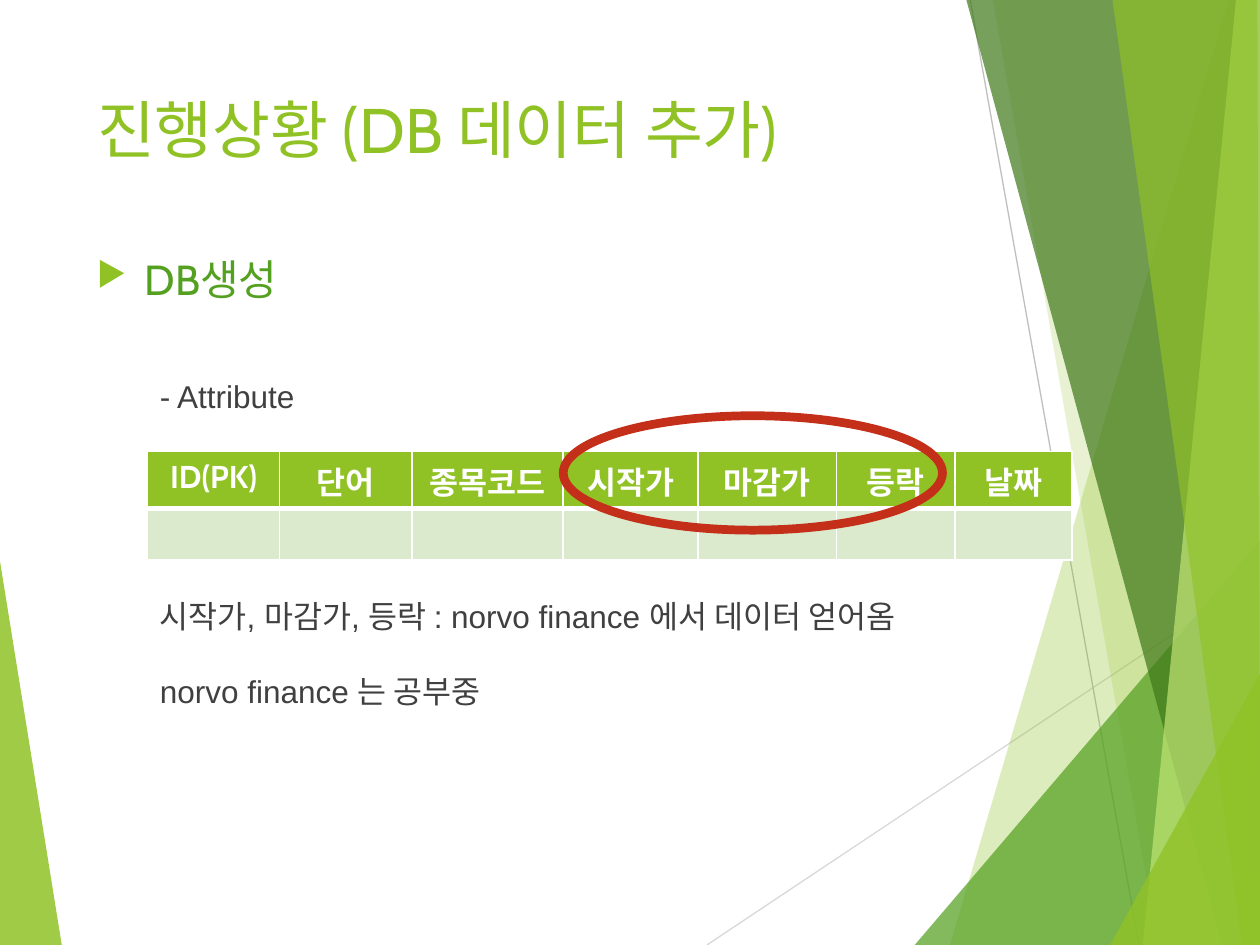
from lxml.etree import SubElement
from pptx import Presentation
from pptx.dml.color import RGBColor
from pptx.enum.shapes import MSO_CONNECTOR, MSO_SHAPE
from pptx.enum.text import MSO_ANCHOR as Anchor, PP_ALIGN as Align
from pptx.oxml.ns import qn
from pptx.util import Inches, Pt

WIDTH, HEIGHT = Inches(10), Inches(7.5)
LIME = RGBColor(0x90, 0xC2, 0x26)
GREEN = RGBColor(0x54, 0xA0, 0x21)
FOREST = RGBColor(0x3F, 0x78, 0x19)
PALE_LIME = RGBColor(0xC0, 0xE4, 0x74)
MINT = RGBColor(0xDB, 0xE9, 0xCD)
WHITE = RGBColor(0xFF, 0xFF, 0xFF)
RED = RGBColor(0xC4, 0x2F, 0x1A)
TEXT_GRAY = RGBColor(0x40, 0x40, 0x40)
LIGHT_GRAY = RGBColor(0xD9, 0xD9, 0xD9)
MID_GRAY = RGBColor(0xBF, 0xBF, 0xBF)

FACETS = [
    (LIME, 85, [(0, 59.4), (4.9, 100), (0, 100)]),
    (LIME, 30, [(97.5, 0), (75.4, 100), (100, 100), (100, 0)]),
    (LIME, 20, [(78.8, 0), (91.9, 100), (100, 100), (100, 0)]),
    (GREEN, 72, [(72.6, 100), (100, 57.2), (100, 100)]),
    (FOREST, 70, [(76.7, 0), (97, 100), (100, 100), (100, 0)]),
    (PALE_LIME, 70, [(98.1, 0), (90.7, 100), (100, 100), (100, 0)]),
    (LIME, 65, [(88.3, 0), (98.6, 100), (100, 100), (99.8, 0)]),
    (LIME, 80, [(88.1, 100), (100, 71.3), (100, 100)]),
]
RAYS = [(LIGHT_GRAY, 56.1, 100, 100, 61), (MID_GRAY, 77, 0, 90.4, 100)]
NOTES = [
    (41.9, "- Attribute"),
    (65.2, "시작가, 마감가, 등락 : norvo finance 에서 데이터 얻어옴"),
    (73.1, "norvo finance 는 공부중"),
]
COLUMNS = [("ID(PK)", 1.05), ("단어", 1.05), ("종목코드", 1.2), ("시작가", 1.07),
           ("마감가", 1.1), ("등락", 0.94), ("날짜", 0.93)]
TABLE_LEFT = 11.7
LINE_HEIGHT = 8


def across(percent):
    """Turn a percentage of the slide width into a length."""
    return int(WIDTH * percent / 100)


def down(percent):
    """Turn a percentage of the slide height into a length."""
    return int(HEIGHT * percent / 100)


def format_text(paragraph, size, color, font_name, bold=False):
    """Format every run of a paragraph."""
    for run in paragraph.runs:
        run.font.size = Pt(size)
        run.font.name = font_name
        run.font.bold = bold
        run.font.color.rgb = color


def add_ray(slide, color, x1, y1, x2, y2):
    """Draw a thin background line."""
    ray = slide.shapes.add_connector(
        MSO_CONNECTOR.STRAIGHT, across(x1), down(y1), across(x2), down(y2))
    ray.line.color.rgb = color
    ray.line.width = Pt(0.75)
    SubElement(ray._element.spPr, qn("a:effectLst"))


def add_facet(slide, color, opacity, points):
    """Draw a translucent background polygon."""
    corners = [(across(x), down(y)) for x, y in points]
    builder = slide.shapes.build_freeform(*corners[0])
    builder.add_line_segments(corners[1:])
    facet = builder.convert_to_shape()
    facet.shadow.inherit = False
    facet.fill.solid()
    facet.fill.fore_color.rgb = color
    facet.line.fill.background()
    color_element = facet._element.spPr.find(qn("a:solidFill"))[0]
    SubElement(color_element, qn("a:alpha"), val=str(opacity * 1000))


def format_title(slide):
    """Place and format the slide title."""
    title = slide.shapes.title
    title.left, title.top = across(6.7), down(8.9)
    title.width, title.height = across(69.4), down(19.2)
    title.text_frame.text = "진행상황 (DB 데이터 추가)"
    title.text_frame.vertical_anchor = Anchor.TOP
    paragraph = title.text_frame.paragraphs[0]
    paragraph.alignment = Align.LEFT
    format_text(paragraph, 36, LIME, "Cabin")


def add_text(slide, left, middle, text, size, color, font_name):
    """Add one line of text centred on a height and return its paragraph."""
    box = slide.shapes.add_textbox(
        across(left), down(middle - LINE_HEIGHT / 2), across(70), down(LINE_HEIGHT))
    frame = box.text_frame
    frame.word_wrap = True
    frame.vertical_anchor = Anchor.MIDDLE
    frame.text = text
    format_text(frame.paragraphs[0], size, color, font_name)
    return frame.paragraphs[0]


def add_bullet(paragraph, color):
    """Give a paragraph a hanging triangle bullet."""
    properties = paragraph._p.get_or_add_pPr()
    properties.set("marL", str(Inches(0.38)))
    properties.set("indent", str(-Inches(0.38)))
    bullet_color = SubElement(properties, qn("a:buClr"))
    SubElement(bullet_color, qn("a:srgbClr"), val=str(color))
    SubElement(properties, qn("a:buSzPct"), val="80000")
    SubElement(properties, qn("a:buChar"), char="▶")


def format_cell(cell, fill_color, widths):
    """Fill a cell and draw its white borders in the given widths."""
    properties = cell._tc.get_or_add_tcPr()
    for side, width in zip(("lnL", "lnR", "lnT", "lnB"), widths):
        border = SubElement(properties, qn(f"a:{side}"), w=str(Pt(width)))
        fill = SubElement(border, qn("a:solidFill"))
        SubElement(fill, qn("a:srgbClr"), val=str(WHITE))
    cell.fill.solid()
    cell.fill.fore_color.rgb = fill_color


def add_attribute_table(slide):
    """Add the table of database attributes with one empty record."""
    total = sum(width for _, width in COLUMNS)
    table = slide.shapes.add_table(
        2, len(COLUMNS), across(TABLE_LEFT), down(47.8), Inches(total), Inches(0.86)).table
    table.rows[0].height, table.rows[1].height = Inches(0.45), Inches(0.41)
    for index, (name, width) in enumerate(COLUMNS):
        table.columns[index].width = Inches(width)
        header, value = table.cell(0, index), table.cell(1, index)
        header.text_frame.text = name
        paragraph = header.text_frame.paragraphs[0]
        paragraph.alignment = Align.CENTER
        format_text(paragraph, 18, WHITE, "Cabin", bold=True)
        format_cell(header, LIME, (1, 1, 1, 3))
        format_cell(value, MINT, (1, 1, 3, 1))


def add_highlight(slide):
    """Circle the price columns of the table."""
    ring = slide.shapes.add_shape(
        MSO_SHAPE.OVAL, across(44.7), down(44), across(30.1), down(12.1))
    ring.shadow.inherit = False
    ring.fill.background()
    ring.line.color.rgb = RED
    ring.line.width = Pt(5)


def main():
    """Build the slide and save it."""
    presentation = Presentation()
    presentation.slide_width, presentation.slide_height = WIDTH, HEIGHT
    slide = presentation.slides.add_slide(presentation.slide_layouts[5])
    for ray in RAYS:
        add_ray(slide, *ray)
    for facet in FACETS:
        add_facet(slide, *facet)
    format_title(slide)
    heading = add_text(slide, 6.7, 29.5, "DB생성", 24, GREEN, "Cabin")
    add_bullet(heading, LIME)
    for middle, text in NOTES:
        add_text(slide, TABLE_LEFT, middle, text, 18, TEXT_GRAY, "Arial")
    add_attribute_table(slide)
    add_highlight(slide)
    presentation.save("out.pptx")


if __name__ == "__main__":
    main()
